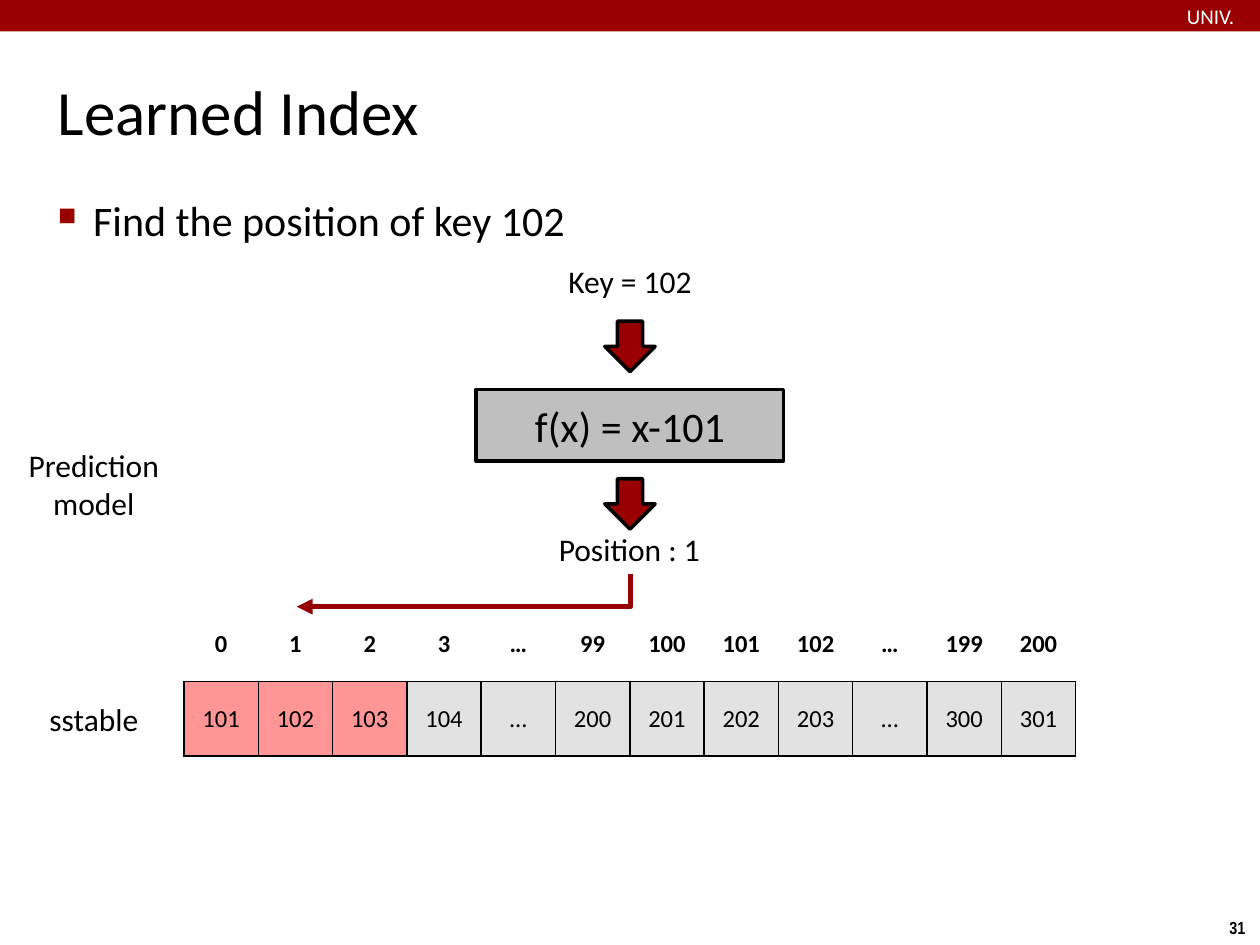
from dataclasses import dataclass

from lxml.etree import SubElement
from pptx import Presentation
from pptx.dml.color import RGBColor
from pptx.enum.shapes import MSO_CONNECTOR, MSO_SHAPE
from pptx.enum.text import MSO_ANCHOR, PP_ALIGN
from pptx.oxml import parse_xml
from pptx.oxml.ns import nsdecls, qn
from pptx.util import Inches, Pt

RED, BLACK, WHITE = "990000", "000000", "FFFFFF"
PLAIN_TABLE = "{2D5ABB26-0587-4C30-8999-92F81FD0307C}"
POSITIONS = ["0", "1", "2", "3", "…", "99", "100", "101", "102", "…", "199", "200"]
KEYS = ["101", "102", "103", "104", "…", "200", "201", "202", "203", "…", "300", "301"]
SEARCHED_KEYS = 3
CELL_SIZE = Inches(0.59)


@dataclass
class Area:
    left: float
    top: float
    width: float
    height: float

    def lengths(self) -> list:
        return [Inches(n) for n in (self.left, self.top, self.width, self.height)]


@dataclass
class Label:
    text: str
    area: Area
    size: int = 18
    align: PP_ALIGN = PP_ALIGN.CENTER
    color: str = BLACK
    font: str = "Calibri"
    bold: bool = False
    inset: float | None = None
    wrap: bool = True


LABELS = [
    Label("Key = 102", Area(4.21, 2.03, 1.58, 0.4)),
    Label("Position : 1", Area(4.28, 4.16, 1.43, 0.4)),
    Label("Prediction model", Area(0.03, 3.49, 1.43, 0.71)),
    Label("sstable", Area(0.03, 5.51, 1.43, 0.4)),
    Label("UNIV.", Area(9.42, 0.03, 1.44, 0.19), 12, PP_ALIGN.LEFT, WHITE, inset=0),
    Label("31", Area(9.66, 7.23, 0.34, 0.27), 10, PP_ALIGN.LEFT,
          font="Arial Narrow", bold=True, wrap=False),
]


def rgb(value: str) -> RGBColor:
    return RGBColor.from_string(value)


def style(para, size: int, align=PP_ALIGN.CENTER, color=BLACK, font="Calibri", bold=False) -> None:
    para.alignment = align
    para.font.size, para.font.name, para.font.bold = Pt(size), font, bold
    para.font.color.rgb = rgb(color)


def set_insets(frame, inset: float) -> None:
    frame.margin_left = frame.margin_right = Inches(inset)
    frame.margin_top = frame.margin_bottom = Inches(inset)


def set_indent(para, hanging: float) -> None:
    properties = para._p.get_or_add_pPr()
    properties.set("marL", str(Inches(hanging)))
    properties.set("indent", str(-Inches(hanging)))


def add_label(page, label: Label):
    frame = page.shapes.add_textbox(*label.area.lengths()).text_frame
    frame.word_wrap = label.wrap
    if label.inset is not None:
        set_insets(frame, label.inset)
    para = frame.paragraphs[0]
    para.text = label.text
    style(para, label.size, label.align, label.color, label.font, label.bold)
    return para


def add_block(page, kind: MSO_SHAPE, area: Area, fill: str, outlined: bool = True):
    block = page.shapes.add_shape(kind, *area.lengths())
    block.shadow.inherit = False
    block.fill.solid()
    block.fill.fore_color.rgb = rgb(fill)
    if outlined:
        block.line.color.rgb = rgb(BLACK)
        block.line.width = Pt(2)
    else:
        block.line.fill.background()
    return block


def set_borders(cell, sides: str) -> None:
    properties = cell._tc.get_or_add_tcPr()
    for index, side in enumerate(sides):
        properties.insert(index, parse_xml(
            f'<a:ln{side} {nsdecls("a")} w="12700"><a:solidFill>'
            f'<a:srgbClr val="{BLACK}"/></a:solidFill></a:ln{side}>'))


def fill_cell(cell, text: str, bold: bool) -> None:
    cell.text = text
    cell.vertical_anchor = MSO_ANCHOR.MIDDLE
    cell.margin_left = cell.margin_right = 0
    style(cell.text_frame.paragraphs[0], 14, bold=bold)


def add_key_table(page) -> None:
    frame = page.shapes.add_table(2, len(KEYS), Inches(1.46), Inches(4.82),
                                  CELL_SIZE * len(KEYS), CELL_SIZE * 2)
    table = frame.table
    table.first_row = table.horz_banding = False
    table._tbl.tblPr.find(qn("a:tableStyleId")).text = PLAIN_TABLE
    for column, (position, key) in enumerate(zip(POSITIONS, KEYS)):
        table.columns[column].width = CELL_SIZE
        header, cell = table.cell(0, column), table.cell(1, column)
        fill_cell(header, position, True)
        header.fill.background()
        set_borders(header, "B")
        fill_cell(cell, key, False)
        cell.fill.solid()
        cell.fill.fore_color.rgb = rgb("FF7070" if column < SEARCHED_KEYS else "D9D9D9")
        color = cell._tc.tcPr.find(f".//{qn('a:srgbClr')}")
        SubElement(color, qn("a:alpha")).set("val", "74000")
        set_borders(cell, "LRTB")


def add_position_arrow(page) -> None:
    # One-bend connector, turned to run down and then left
    arrow = page.shapes.add_connector(MSO_CONNECTOR.ELBOW, Inches(3.55), Inches(3.36),
                                      Inches(3.81), Inches(6.01))
    arrow.line.color.rgb = rgb("960000")
    arrow.line.width = Pt(3)
    properties = arrow._element.spPr
    properties.find(qn("a:prstGeom")).set("prst", "bentConnector2")
    properties.find(qn("a:xfrm")).set("rot", str(90 * 60000))
    SubElement(properties.find(qn("a:ln")), qn("a:tailEnd")).set("type", "triangle")
    SubElement(properties, qn("a:effectLst"))


def main() -> None:
    deck = Presentation()
    deck.slide_width, deck.slide_height = Inches(10), Inches(7.5)
    page = deck.slides.add_slide(deck.slide_layouts[5])

    # Top band and title
    add_block(page, MSO_SHAPE.RECTANGLE, Area(0, 0, 10, 0.25), RED, outlined=False)
    title = page.shapes.title
    title.left, title.top, title.width, title.height = Area(0.42, 0.28, 9.17, 1.19).lengths()
    title.text = "Learned Index"
    title.text_frame.vertical_anchor = MSO_ANCHOR.MIDDLE
    set_insets(title.text_frame, 0.04)
    para = title.text_frame.paragraphs[0]
    style(para, 36, PP_ALIGN.LEFT)
    set_indent(para, 0.13)

    # Bullet line
    para = add_label(page, Label("Find the position of key 102", Area(0.42, 1.5, 9.17, 2.25),
                                 24, PP_ALIGN.LEFT, inset=0.04))
    set_indent(para, 0.28)
    para.space_before = Pt(6)
    bullet = (f'<a:buClr {nsdecls("a")}><a:srgbClr val="{RED}"/></a:buClr>',
              f'<a:buSzPct {nsdecls("a")} val="60000"/>',
              f'<a:buChar {nsdecls("a")} char="■"/>')
    for part in bullet:
        para._p.pPr.find(qn("a:defRPr")).addprevious(parse_xml(part))

    # Prediction flow
    add_key_table(page)
    model = add_block(page, MSO_SHAPE.RECTANGLE, Area(3.78, 3.09, 2.44, 0.57), "BFBFBF")
    model.text_frame.text = "f(x) = x-101"
    style(model.text_frame.paragraphs[0], 24)
    for top in (2.55, 3.8):
        add_block(page, MSO_SHAPE.DOWN_ARROW, Area(4.8, top, 0.4, 0.4), RED)
    for label in LABELS:
        add_label(page, label)
    add_position_arrow(page)

    deck.save("out.pptx")


if __name__ == "__main__":
    main()
